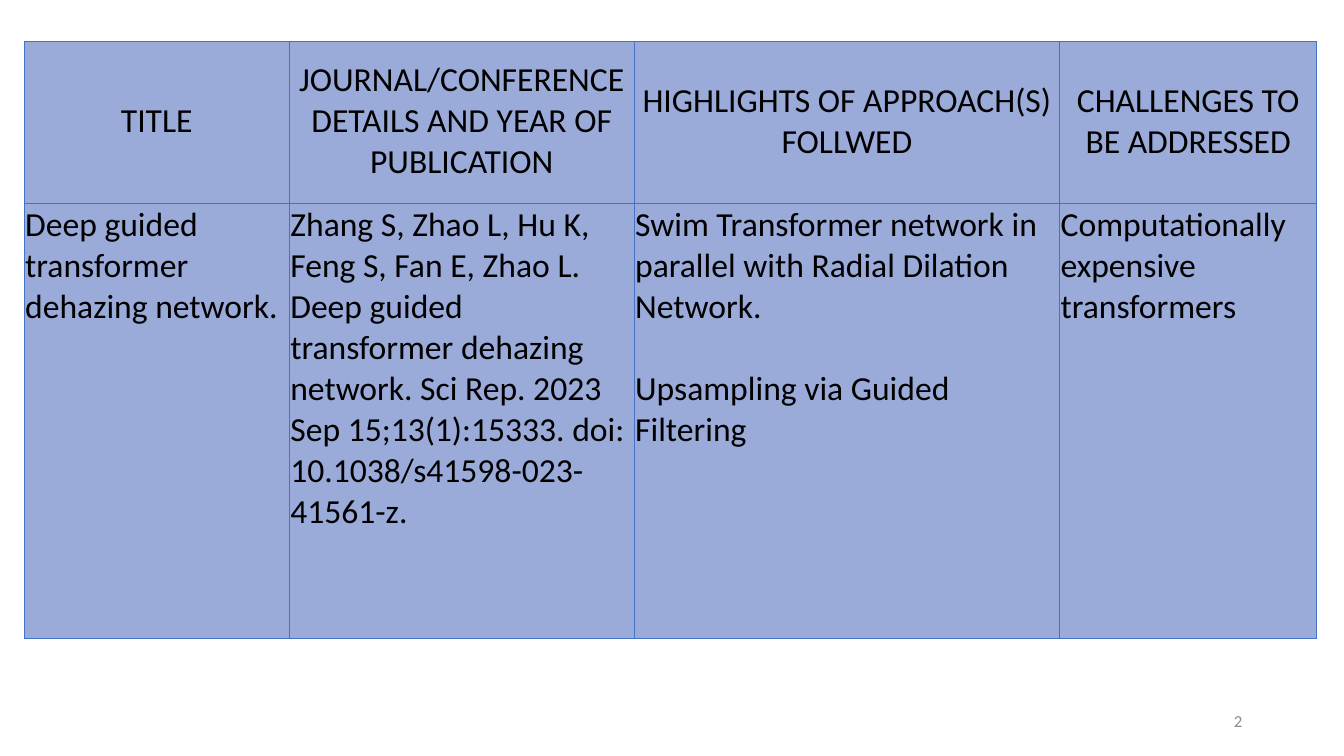
from dataclasses import dataclass

import pptx
import pptx.dml.color
import pptx.enum.text
import pptx.oxml
import pptx.oxml.ns
import pptx.util
from pptx.dml.color import RGBColor
from pptx.enum.text import MSO_ANCHOR, PP_ALIGN
from pptx.util import Inches, Pt

BLACK = RGBColor(0x00, 0x00, 0x00)
GREY = RGBColor(0x8C, 0x8C, 0x8C)
CELL_BLUE = RGBColor(0x9B, 0xAB, 0xD9)
BORDER_BLUE = RGBColor(0x44, 0x72, 0xC4)
FONT = "Calibri"
ROW_HEIGHTS = (1.61, 4.31)
PARAGRAPH_GAP = Pt(29.3)


@dataclass(frozen=True)
class SurveyColumn:
    width: float
    heading: str
    entry: str


COLUMNS = (
    SurveyColumn(2.63, "TITLE", "Deep guided transformer dehazing network."),
    SurveyColumn(
        3.42,
        "JOURNAL/CONFERENCE DETAILS AND YEAR OF PUBLICATION",
        "Zhang S, Zhao L, Hu K, Feng S, Fan E, Zhao L. Deep guided transformer "
        "dehazing network. Sci Rep. 2023 Sep 15;13(1):15333. "
        "doi: 10.1038/s41598-023-41561-z.",
    ),
    SurveyColumn(
        4.22,
        "HIGHLIGHTS OF APPROACH(S) FOLLWED",
        "Swim Transformer network in parallel with Radial Dilation Network.\n"
        "Upsampling via Guided Filtering",
    ),
    SurveyColumn(2.55, "CHALLENGES TO BE ADDRESSED",
                 "Computationally expensive transformers"),
)


def style_text(frame: pptx.text.text.TextFrame, size: float, color: RGBColor,
               alignment: PP_ALIGN) -> None:
    for index, paragraph in enumerate(frame.paragraphs):
        paragraph.alignment = alignment
        if index:
            paragraph.space_before = PARAGRAPH_GAP
        for span in paragraph.runs:
            span.font.name = FONT
            span.font.size = Pt(size)
            span.font.bold = False
            span.font.color.rgb = color


def add_borders(cell: pptx.table._Cell) -> None:
    properties = cell._tc.get_or_add_tcPr()
    for side in ("lnL", "lnR", "lnT", "lnB"):
        properties.append(pptx.oxml.parse_xml(
            f'<a:{side} {pptx.oxml.ns.nsdecls("a")} w="{Pt(0.5)}"><a:solidFill>'
            f'<a:srgbClr val="{BORDER_BLUE}"/></a:solidFill></a:{side}>'
        ))


def fill_cell(cell: pptx.table._Cell, text: str, is_heading: bool) -> None:
    cell.text_frame.text = text
    cell.margin_left = cell.margin_right = cell.margin_top = Inches(0.01)
    cell.margin_bottom = Inches(0.03)
    cell.vertical_anchor = MSO_ANCHOR.MIDDLE if is_heading else MSO_ANCHOR.TOP
    add_borders(cell)
    cell.fill.solid()
    cell.fill.fore_color.rgb = CELL_BLUE
    style_text(cell.text_frame, 24, BLACK,
               PP_ALIGN.CENTER if is_heading else PP_ALIGN.LEFT)


def add_survey_table(page: pptx.slide.Slide) -> None:
    table = page.shapes.add_table(
        len(ROW_HEIGHTS), len(COLUMNS), Inches(0.24), Inches(0.41),
        Inches(sum(column.width for column in COLUMNS)), Inches(sum(ROW_HEIGHTS)),
    ).table
    table.first_row = table.horz_banding = False
    for row, height in zip(table.rows, ROW_HEIGHTS):
        row.height = Inches(height)
    for index, column in enumerate(COLUMNS):
        table.columns[index].width = Inches(column.width)
        fill_cell(table.cell(0, index), column.heading, True)
        fill_cell(table.cell(1, index), column.entry, False)


def add_page_number(page: pptx.slide.Slide) -> None:
    box = page.shapes.add_textbox(Inches(9.42), Inches(6.95), Inches(3), Inches(0.4))
    frame = box.text_frame
    frame.word_wrap = True
    frame.vertical_anchor = MSO_ANCHOR.MIDDLE
    frame.text = "2"
    style_text(frame, 12, GREY, PP_ALIGN.RIGHT)


def main() -> None:
    deck = pptx.Presentation()
    deck.slide_width, deck.slide_height = Inches(13.33), Inches(7.5)
    page = deck.slides.add_slide(deck.slide_layouts[6])
    add_survey_table(page)
    add_page_number(page)
    deck.save("out.pptx")


if __name__ == "__main__":
    main()
